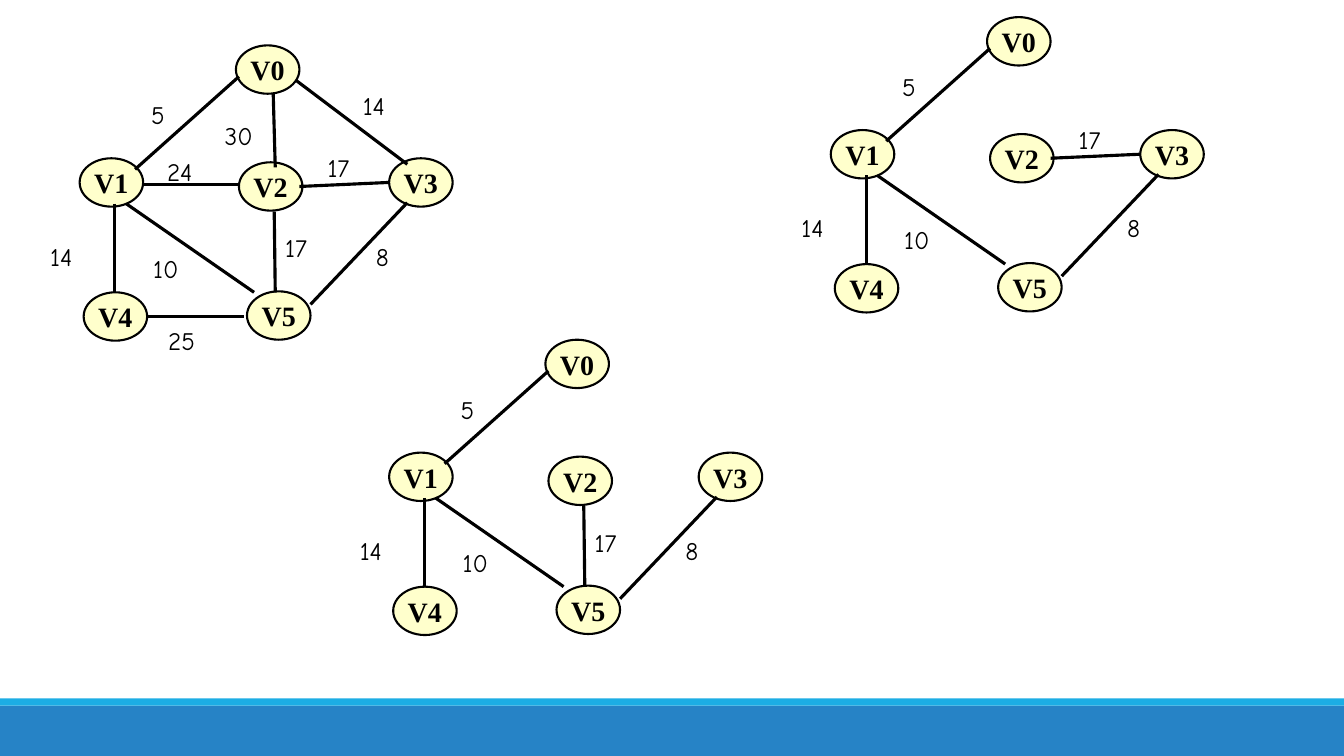
from typing import NamedTuple

from lxml.etree import SubElement
from pptx import Presentation
from pptx.dml.color import RGBColor
from pptx.enum.shapes import MSO_CONNECTOR, MSO_SHAPE
from pptx.enum.text import MSO_ANCHOR, MSO_AUTO_SIZE, PP_ALIGN
from pptx.oxml.ns import qn
from pptx.shapes.shapetree import GroupShapes
from pptx.slide import Slide
from pptx.util import Emu, Pt

BLACK = RGBColor(0x00, 0x00, 0x00)
CREAM = RGBColor(0xFF, 0xFF, 0xCC)
BLUE = RGBColor(0x26, 0x83, 0xC6)
CYAN = RGBColor(0x1C, 0xAD, 0xE4)

SLIDE_W, SLIDE_H = 1333, 750
VERTEX_W, VERTEX_H = 63, 48
LABEL_H = 40


class Band(NamedTuple):
    y: int
    h: int
    color: RGBColor


class Vertex(NamedTuple):
    name: str
    x: int
    y: int


class Edge(NamedTuple):
    x1: int
    y1: int
    x2: int
    y2: int
    weight: str
    label_x: int
    label_y: int
    label_w: int


class Graph(NamedTuple):
    dx: int
    dy: int
    edges: list[str]


BANDS = [Band(700, 50, BLUE), Band(693, 7, CYAN)]

VERTICES = [
    Vertex("V0", 234, 45),
    Vertex("V1", 79, 157),
    Vertex("V2", 237, 161),
    Vertex("V3", 386, 157),
    Vertex("V4", 83, 290),
    Vertex("V5", 245, 289),
]

EDGES = {
    "V0-V1": Edge(134, 168, 237, 76, "5", 140, 94, 46),
    "V0-V2": Edge(271, 93, 273, 166, "30", 213, 114, 52),
    "V0-V3": Edge(294, 80, 404, 163, "14", 350, 85, 54),
    "V1-V2": Edge(142, 183, 237, 183, "24", 156, 150, 65),
    "V1-V4": Edge(114, 202, 114, 290, "14", 40, 234, 63),
    "V1-V5": Edge(125, 202, 252, 290, "10", 142, 246, 67),
    "V2-V3": Edge(297, 185, 386, 181, "17", 315, 146, 52),
    "V2-V5": Edge(272, 210, 273, 290, "17", 273, 226, 51),
    "V3-V5": Edge(404, 201, 308, 302, "8", 363, 234, 41),
    "V4-V5": Edge(146, 314, 242, 314, "25", 157, 318, 67),
}

TREE_EDGES = ["V0-V1", "V1-V4", "V1-V5", "V3-V5"]

GRAPHS = [
    Graph(0, 0, list(EDGES)),
    Graph(307, 292, TREE_EDGES + ["V2-V5"]),
    Graph(745, -28, TREE_EDGES + ["V2-V3"]),
]


def px(n: int) -> Emu:
    return Emu(n * 9144)


def add_band(slide: Slide, band: Band) -> None:
    sp = slide.shapes.add_shape(
        MSO_SHAPE.RECTANGLE, 0, px(band.y), px(SLIDE_W), px(band.h))
    sp.shadow.inherit = False
    sp.fill.solid()
    sp.fill.fore_color.rgb = band.color
    sp.line.fill.background()


def add_vertex(shapes: GroupShapes, vertex: Vertex, dx: int, dy: int) -> None:
    sp = shapes.add_shape(
        MSO_SHAPE.OVAL, px(vertex.x + dx), px(vertex.y + dy),
        px(VERTEX_W), px(VERTEX_H))
    sp.shadow.inherit = False
    sp.fill.solid()
    sp.fill.fore_color.rgb = CREAM
    sp.line.color.rgb = BLACK
    sp.line.width = Pt(1.5)
    tf = sp.text_frame
    tf.word_wrap = False
    tf.vertical_anchor = MSO_ANCHOR.MIDDLE
    p = tf.paragraphs[0]
    p.text = vertex.name
    p.alignment = PP_ALIGN.CENTER
    p.font.name = "Times New Roman"
    p.font.size = Pt(20)
    p.font.bold = True
    p.font.color.rgb = BLACK


def add_edge(shapes: GroupShapes, edge: Edge, dx: int, dy: int) -> None:
    line = shapes.add_connector(
        MSO_CONNECTOR.STRAIGHT, px(edge.x1 + dx), px(edge.y1 + dy),
        px(edge.x2 + dx), px(edge.y2 + dy))
    line.line.color.rgb = BLACK
    line.line.width = Pt(2.25)
    SubElement(line._element.spPr, qn("a:effectLst"))


def add_weight(shapes: GroupShapes, edge: Edge, dx: int, dy: int) -> None:
    box = shapes.add_textbox(
        px(edge.label_x + dx), px(edge.label_y + dy),
        px(edge.label_w), px(LABEL_H))
    tf = box.text_frame
    tf.word_wrap = True
    tf.auto_size = MSO_AUTO_SIZE.SHAPE_TO_FIT_TEXT
    p = tf.paragraphs[0]
    p.text = edge.weight
    p.font.name = "Comic Neue"
    p.font.size = Pt(18)
    p.font.color.rgb = BLACK


def add_graph(slide: Slide, graph: Graph) -> None:
    shapes = slide.shapes.add_group_shape().shapes
    edges = [EDGES[name] for name in graph.edges]
    for vertex in VERTICES:
        add_vertex(shapes, vertex, graph.dx, graph.dy)
    for edge in edges:
        add_edge(shapes, edge, graph.dx, graph.dy)
    for edge in edges:
        add_weight(shapes, edge, graph.dx, graph.dy)


def main() -> None:
    prs = Presentation()
    prs.slide_width, prs.slide_height = px(SLIDE_W), px(SLIDE_H)
    slide = prs.slides.add_slide(prs.slide_layouts.get_by_name("Blank"))
    for band in BANDS:
        add_band(slide, band)
    for graph in GRAPHS:
        add_graph(slide, graph)
    prs.save("out.pptx")


if __name__ == "__main__":
    main()
